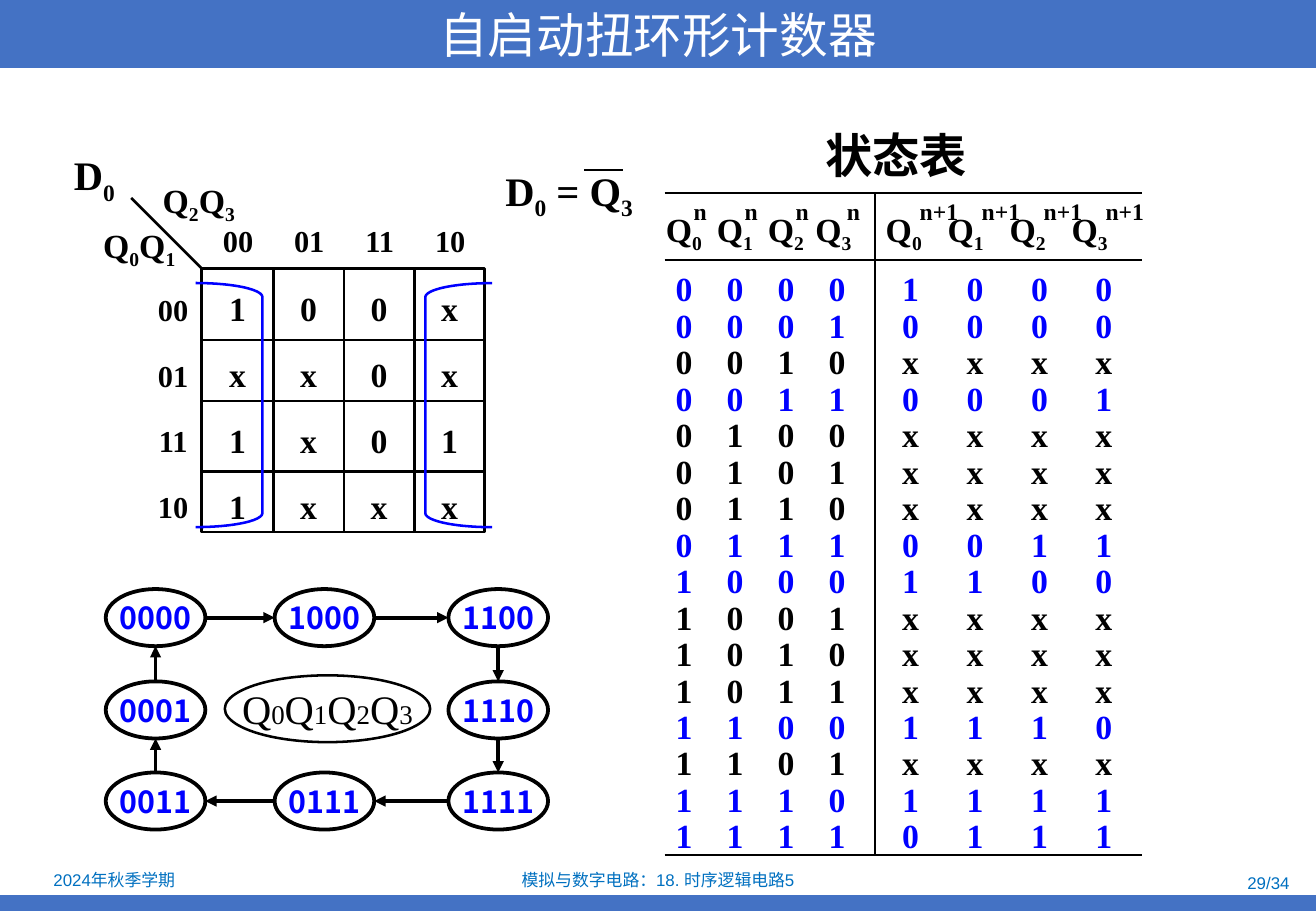
from dataclasses import dataclass
from itertools import accumulate, groupby, pairwise, product

from lxml import etree
from pptx import Presentation
from pptx import util as u
from pptx.dml.color import RGBColor
from pptx.enum import shapes, text
from pptx.oxml.ns import qn


@dataclass(frozen=True)
class Theme:
    bar: str = "4472C4"
    white: str = "FFFFFF"
    black: str = "000000"
    blue: str = "0000FF"
    footer: str = "0070C0"
    serif: str = "Times New Roman"
    sans: str = "Arial"
    cjk: str = "Noto Sans CJK SC"
    title: float = 28.8
    heading: float = 28
    formula: float = 24
    body: float = 20
    label: float = 18
    small_digit: float = 16
    power: float = 14
    footnote: float = 10
    thin: float = 1.5
    thick: float = 2.25


THEME = Theme()


@dataclass(frozen=True)
class Box:
    left: float
    top: float
    width: float
    height: float

    def lengths(self) -> tuple[u.Length, ...]:
        return tuple(u.Inches(v) for v in (self.left, self.top, self.width, self.height))


@dataclass(frozen=True)
class Style:
    size: float
    font: str = THEME.serif
    color: str = THEME.black
    bold: bool = True
    align: str = "LEFT"
    digit_size: float | None = None
    subscripts: bool = False


@dataclass(frozen=True)
class Label:
    words: str
    box: Box
    style: Style


@dataclass(frozen=True)
class Column:
    width: float
    header_margin: float
    right_margin: float = 0


BODY = Style(THEME.body, align="CENTER")
INDEXED = Style(THEME.body, subscripts=True)
FORMULA = Style(THEME.formula, subscripts=True)
CODE = Style(THEME.label, align="CENTER")
POWER = Style(THEME.power)
STATE = Style(THEME.label, THEME.cjk, THEME.blue, align="CENTER")
RING_NAME = Style(THEME.formula, bold=False, align="CENTER", digit_size=THEME.small_digit)

RING = ["0000", "1000", "1100", "1110", "1111", "0111", "0011", "0001"]
NEXT = dict(zip(RING, RING[1:] + RING[:1]))
RING_SPOTS = [(0, 0), (1, 0), (2, 0), (2, 1), (2, 2), (1, 2), (0, 2), (0, 1)]
RING_LEFTS = (0.87, 2.26, 3.69)
RING_TOPS = (4.85, 5.61, 6.36)
STATE_WIDTH, STATE_HEIGHT = 0.82, 0.47

GRAY_CODE = ["00", "01", "11", "10"]
MAP_BOX = Box(1.66, 2.21, 2.33, 2.17)
MAP_WIDTHS = [0.59, 0.58, 0.58, 0.58]
MAP_HEIGHTS = [0.59, 0.5, 0.58, 0.5]

STATE_COLUMNS = ([Column(0.42, 0.06)] * 3 + [Column(0.55, 0.03, 0.13)]
                 + [Column(0.53, 0.06 - 0.02 * i) for i in range(4)])
STATE_HEIGHTS = [0.66] + [0.3] * 16


def write(paragraph, words: str, style: Style) -> None:
    """Add runs, giving digits their own size or base line where the style asks."""
    paragraph.alignment = getattr(text.PP_ALIGN, style.align)
    split = style.subscripts or style.digit_size
    pieces = groupby(words, str.isdigit) if split else [(False, words)]
    for is_digit, letters in pieces:
        run = paragraph.add_run()
        run.text = "".join(letters)
        font = run.font
        font.name, font.bold = style.font, style.bold
        font.size = u.Pt(style.digit_size if is_digit and style.digit_size else style.size)
        font.color.rgb = RGBColor.from_string(style.color)
        properties = run._r.get_or_add_rPr()
        etree.SubElement(properties, qn("a:ea")).set("typeface", THEME.cjk)
        if is_digit and style.subscripts:
            properties.set("baseline", "-25000")


def add_label(slide, label: Label, middle: bool = False) -> None:
    frame = slide.shapes.add_textbox(*label.box.lengths()).text_frame
    frame.word_wrap = middle
    if middle:
        frame.vertical_anchor = text.MSO_ANCHOR.MIDDLE
        frame.margin_top = frame.margin_bottom = 0
    write(frame.paragraphs[0], label.words, label.style)


def add_outline(slide, kind, box: Box, color: str = THEME.black, width: float = THEME.thin,
                fill: str | None = None, words: str = "", style: Style = BODY):
    shape = slide.shapes.add_shape(kind, *box.lengths())
    shape.shadow.inherit = False
    if fill:
        shape.fill.solid()
        shape.fill.fore_color.rgb = RGBColor.from_string(fill)
        shape.line.fill.background()
    else:
        shape.fill.background()
        shape.line.color.rgb = RGBColor.from_string(color)
        shape.line.width = u.Pt(width)
    if words:
        frame = shape.text_frame
        frame.word_wrap = False
        frame.vertical_anchor = text.MSO_ANCHOR.MIDDLE
        frame.margin_left = frame.margin_right = frame.margin_top = frame.margin_bottom = 0
        write(frame.paragraphs[0], words, style)
    return shape


def add_line(slide, x1: float, y1: float, x2: float, y2: float, arrow: bool = False) -> None:
    line = slide.shapes.add_connector(shapes.MSO_CONNECTOR.STRAIGHT,
                                      *(u.Inches(v) for v in (x1, y1, x2, y2)))
    line.line.color.rgb = RGBColor.from_string(THEME.black)
    line.line.width = u.Pt(THEME.thick if arrow else THEME.thin)
    if arrow:
        etree.SubElement(line.line._get_or_add_ln(), qn("a:tailEnd")).set("type", "triangle")
    etree.SubElement(line._element.spPr, qn("a:effectLst"))


def add_plain_table(slide, left: float, top: float, widths: list[float], heights: list[float]):
    """Add a table without fills, bands or cell margins."""
    box = Box(left, top, sum(widths), sum(heights))
    table = slide.shapes.add_table(len(heights), len(widths), *box.lengths()).table
    table.first_row = table.horz_banding = False
    for column, width in zip(table.columns, widths):
        column.width = u.Inches(width)
    for row, height in zip(table.rows, heights):
        row.height = u.Inches(height)
    for cell in table.iter_cells():
        cell.fill.background()
        cell.vertical_anchor = text.MSO_ANCHOR.MIDDLE
        cell.margin_left = cell.margin_right = cell.margin_top = cell.margin_bottom = 0
    return table


def add_karnaugh_map(slide) -> None:
    box = MAP_BOX
    table = add_plain_table(slide, box.left, box.top, MAP_WIDTHS, MAP_HEIGHTS)
    for (r, row), (c, column) in product(enumerate(GRAY_CODE), repeat=2):
        cell = table.cell(r, c)
        cell.margin_top = u.Inches(0.1)
        write(cell.text_frame.paragraphs[0], NEXT.get(row + column, "x")[0], BODY)
    add_outline(slide, shapes.MSO_SHAPE.RECTANGLE, box)
    xs = list(accumulate(MAP_WIDTHS, initial=box.left))
    ys = list(accumulate(MAP_HEIGHTS, initial=box.top))
    for x, y in zip(xs[1:-1], ys[1:-1]):
        add_line(slide, x, box.top, x, box.top + box.height)
        add_line(slide, box.left, y, box.left + box.width, y)
    for code, (x1, x2), (y1, y2) in zip(GRAY_CODE, pairwise(xs), pairwise(ys)):
        add_label(slide, Label(code, Box((x1 + x2) / 2 - 0.22, 1.78, 0.45, 0.4), CODE))
        add_label(slide, Label(code, Box(1.2, (y1 + y2) / 2 - 0.16, 0.45, 0.4), CODE))
    add_line(slide, box.left, box.top, 1.08, 1.63)
    for left, rotation in ((1.61, 0), (3.5, 180)):
        bracket = add_outline(slide, shapes.MSO_SHAPE.RIGHT_BRACKET,
                              Box(left, 2.33, 0.55, 2.01), THEME.blue)
        bracket.adjustments[0] = 0.21
        bracket.rotation = rotation


def add_state_table(slide) -> None:
    table = add_plain_table(slide, 5.42, 1.59, [c.width for c in STATE_COLUMNS], STATE_HEIGHTS)
    for c, column in enumerate(STATE_COLUMNS):
        header = table.cell(0, c)
        header.margin_left = u.Inches(column.header_margin)
        write(header.text_frame.paragraphs[0], f"Q{c % 4}", INDEXED)
        for number in range(16):
            state = f"{number:04b}"
            style = Style(THEME.body, align="CENTER",
                          color=THEME.blue if state in NEXT else THEME.black)
            cell = table.cell(number + 1, c)
            cell.margin_right = u.Inches(column.right_margin)
            paragraph = cell.text_frame.paragraphs[0]
            paragraph.line_spacing = 0.9
            write(paragraph, (state + NEXT.get(state, "xxxx"))[c], style)
    for i in range(4):
        add_label(slide, Label("n", Box(5.61 + 0.42 * i, 1.57, 0.31, 0.33), POWER))
        add_label(slide, Label("n+1", Box(7.47 + 0.51 * i, 1.57, 0.52, 0.33), POWER))
    add_line(slide, 7.2, 1.59, 7.2, 7.04)
    for y in (1.59, 2.14, 7.04):
        add_line(slide, 5.47, y, 9.4, y)


def add_state_ring(slide) -> None:
    boxes = [Box(RING_LEFTS[c], RING_TOPS[r], STATE_WIDTH, STATE_HEIGHT) for c, r in RING_SPOTS]
    for state, box, target in zip(RING, boxes, boxes[1:] + boxes[:1]):
        add_outline(slide, shapes.MSO_SHAPE.OVAL, box, width=THEME.thick, words=state, style=STATE)
        x, y = box.left + STATE_WIDTH / 2, box.top + STATE_HEIGHT / 2
        if box.top == target.top:
            near, far = sorted((box.left, target.left))
            ends = [near + STATE_WIDTH, far]
            x1, x2 = ends if box.left < target.left else ends[::-1]
            add_line(slide, x1, y, x2, y, arrow=True)
        else:
            near, far = sorted((box.top, target.top))
            ends = [near + STATE_HEIGHT, far]
            y1, y2 = ends if box.top < target.top else ends[::-1]
            add_line(slide, x, y1, x, y2, arrow=True)
    add_outline(slide, shapes.MSO_SHAPE.OVAL, Box(1.85, 5.56, 1.69, 0.55),
                words="Q0Q1Q2Q3", style=RING_NAME)


def add_frame(slide) -> None:
    """Add the title bar, the bottom bar and the footer texts."""
    rectangle = shapes.MSO_SHAPE.RECTANGLE
    title = Style(THEME.title, THEME.cjk, THEME.white, False, "CENTER")
    add_outline(slide, rectangle, Box(0, 7.37, 10.83, 0.13), fill=THEME.bar)
    add_outline(slide, rectangle, Box(0, 0, 10.83, 0.56), fill=THEME.bar,
                words="自启动扭环形计数器", style=title)
    for words, box, align in (
        ("2024年秋季学期", Box(0.02, 7.13, 1.84, 0.23), "CENTER"),
        ("模拟与数字电路：18. 时序逻辑电路5", Box(3.7, 7.14, 3.43, 0.21), "CENTER"),
        ("29/34", Box(8.18, 7.16, 2.53, 0.21), "RIGHT"),
    ):
        style = Style(THEME.footnote, THEME.sans, THEME.footer, False, align)
        add_label(slide, Label(words, box, style), middle=True)


def main() -> None:
    presentation = Presentation()
    presentation.slide_width, presentation.slide_height = u.Inches(10.83), u.Inches(7.5)
    slide = presentation.slides.add_slide(presentation.slide_layouts[6])
    add_frame(slide)
    add_karnaugh_map(slide)
    add_state_table(slide)
    add_state_ring(slide)
    for label in (
        Label("状态表", Box(6.69, 0.99, 1.37, 0.57),
              Style(THEME.heading, THEME.sans, align="CENTER")),
        Label("Q0Q1", Box(0.75, 1.8, 0.81, 0.43), INDEXED),
        Label("Q2Q3", Box(1.24, 1.43, 0.81, 0.43), INDEXED),
        Label("D0", Box(0.51, 1.19, 0.55, 0.5), FORMULA),
        Label("D0 = Q3", Box(4.06, 1.32, 1.25, 0.5), FORMULA),
    ):
        add_label(slide, label)
    add_line(slide, 4.81, 1.4, 5.13, 1.4)
    presentation.save("out.pptx")


if __name__ == "__main__":
    main()
